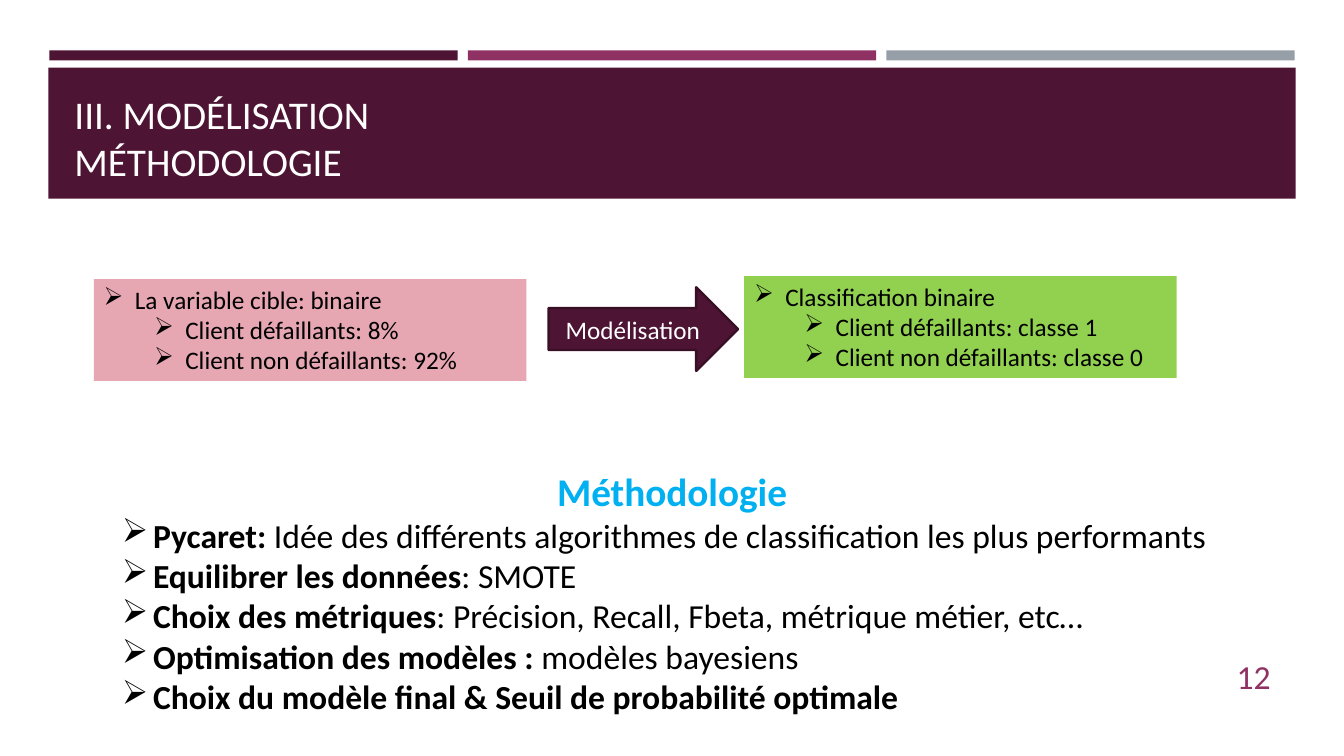
from lxml import etree
from pptx import Presentation
from pptx.dml.color import RGBColor
from pptx.enum.shapes import MSO_SHAPE
from pptx.enum.text import MSO_ANCHOR, PP_ALIGN
from pptx.oxml.ns import qn
from pptx.util import Inches, Pt

RECTANGLE, RIGHT_ARROW = MSO_SHAPE.RECTANGLE, MSO_SHAPE.RIGHT_ARROW
TOP, MIDDLE, BOTTOM = MSO_ANCHOR.TOP, MSO_ANCHOR.MIDDLE, MSO_ANCHOR.BOTTOM
LEFT, CENTER, RIGHT = PP_ALIGN.LEFT, PP_ALIGN.CENTER, PP_ALIGN.RIGHT

THEME = {
    "font": "Calibri",
    "plum": "4D1434",
    "plum_edge": "390F26",
    "magenta": "903163",
    "gray": "969FA7",
    "pink": "E6A7B3",
    "green": "92D050",
    "blue": "00B0F0",
    "white": "FFFFFF",
    "black": "000000",
    "heading": 28,
    "body": 24,
    "label": 18,
}

deck = Presentation()
deck.slide_width, deck.slide_height = Inches(13.33), Inches(7.5)
page = deck.slides.add_slide(deck.slide_layouts[6])


def add_box(kind, place, fill=None, anchor=TOP):
    left, top, width, height = [Inches(value) for value in place]
    if fill is None:
        box = page.shapes.add_textbox(left, top, width, height)
    else:
        box = page.shapes.add_shape(kind, left, top, width, height)
        box.shadow.inherit = False
        box.fill.solid()
        box.fill.fore_color.rgb = RGBColor.from_string(THEME[fill])
        box.line.fill.background()
    box.text_frame.word_wrap = True
    box.text_frame.vertical_anchor = anchor
    return box


def write(para, parts, size, color, align=LEFT, bullet_indent=None):
    para.alignment = align
    for text, bold in parts:
        para.add_run().text = text
        span = para.runs[-1]
        span.font.name = THEME["font"]
        span.font.size = Pt(THEME[size])
        span.font.bold = bold
        span.font.color.rgb = RGBColor.from_string(THEME[color])
    if bullet_indent is not None:
        properties = para._p.get_or_add_pPr()
        properties.set("marL", str(Inches(bullet_indent)))
        properties.set("indent", str(Inches(-0.31)))
        etree.SubElement(properties, qn("a:buChar")).set("char", "➢")


for column, color in enumerate(["plum", "magenta", "gray"]):
    add_box(RECTANGLE, (0.49 + column * 4.15, 0.5, 4.05, 0.1), color)

add_box(RECTANGLE, (0.48, 0.67, 12.37, 1.3), "plum")
title = add_box(None, (0.64, 0.77, 12.06, 1.11), anchor=BOTTOM)
title_para = title.text_frame.paragraphs[0]
write(title_para, [("III. MODÉLISATION", False)], "heading", "white")
title_para.add_line_break()
write(title_para, [("MÉTHODOLOGIE", False)], "heading", "white")

cards = [
    (0.93, 2.77, "pink", ["La variable cible: binaire",
                          "Client défaillants: 8%",
                          "Client non défaillants: 92%"]),
    (7.38, 2.74, "green", ["Classification binaire",
                           "Client défaillants: classe 1",
                           "Client non défaillants: classe 0"]),
]
for left, top, color, lines in cards:
    frame = add_box(RECTANGLE, (left, top, 4.29, 1.01), color).text_frame
    for index, line in enumerate(lines):
        para = frame.add_paragraph() if index else frame.paragraphs[0]
        para.level = min(index, 1)
        write(para, [(line, False)], "label", "black",
              bullet_indent=0.31 + 0.5 * para.level)

arrow = add_box(RIGHT_ARROW, (5.44, 2.85, 1.88, 0.83), "plum", MIDDLE)
arrow.line.color.rgb = RGBColor.from_string(THEME["plum_edge"])
arrow.line.width = Pt(1.75)
write(arrow.text_frame.paragraphs[0], [("Modélisation", False)],
      "label", "white", CENTER)

steps = [
    ("Pycaret: ", "Idée des différents algorithmes de classification les plus performants"),
    ("Equilibrer les données", ": SMOTE"),
    ("Choix des métriques", ": Précision, Recall, Fbeta, métrique métier, etc…"),
    ("Optimisation des modèles : ", "modèles bayesiens"),
    ("Choix du modèle final & Seuil de probabilité optimale", ""),
]
method = add_box(None, (1.11, 4.59, 11.11, 2.59)).text_frame
write(method.paragraphs[0], [("Méthodologie", True)], "heading", "blue", CENTER)
for name, detail in steps:
    parts = [(name, True), (detail, False)] if detail else [(name, True)]
    write(method.add_paragraph(), parts, "body", "black", bullet_indent=0.31)

number = add_box(None, (11.55, 6.51, 1.15, 0.4), anchor=MIDDLE)
write(number.text_frame.paragraphs[0], [("12", False)], "body", "magenta", RIGHT)

deck.save("out.pptx")
